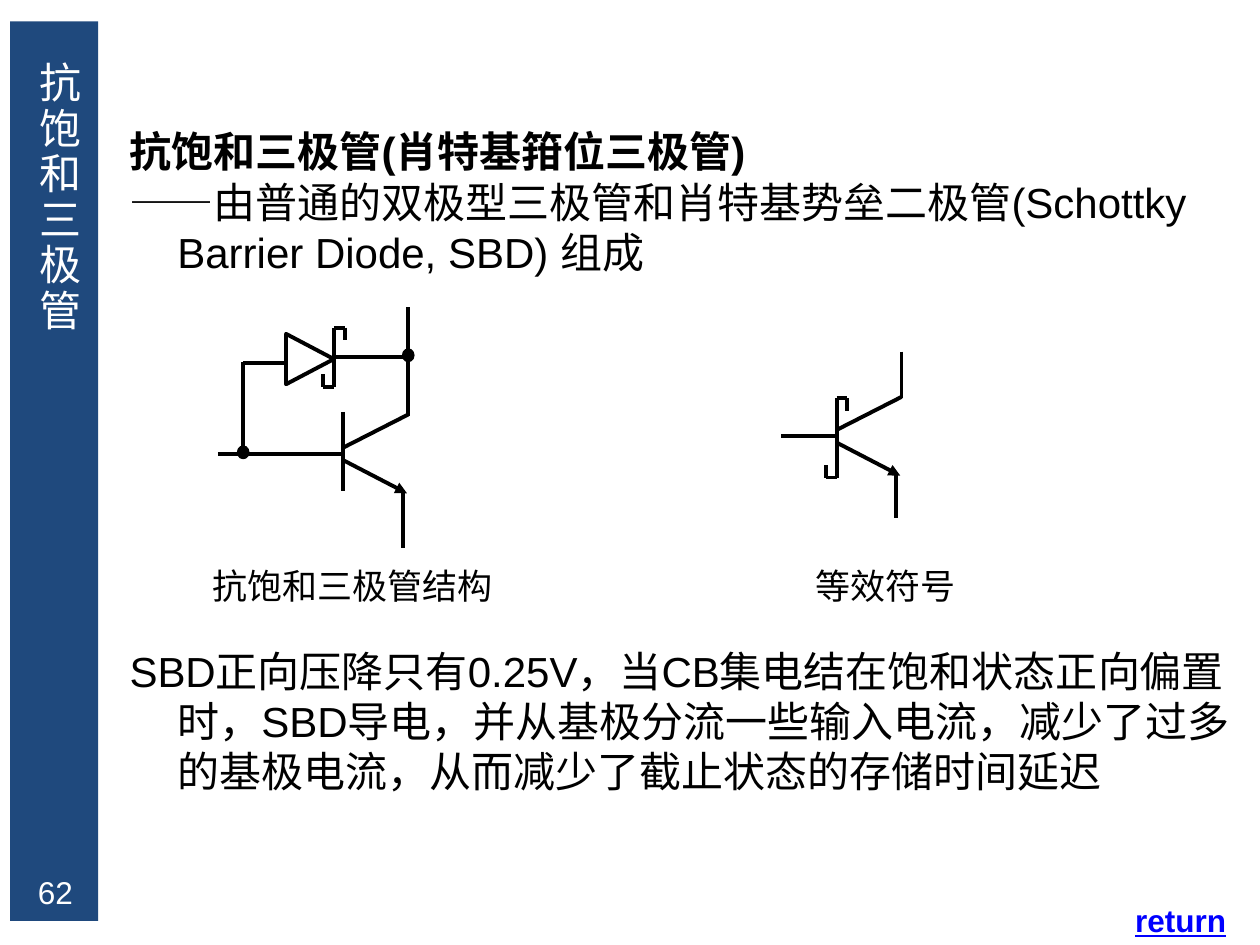
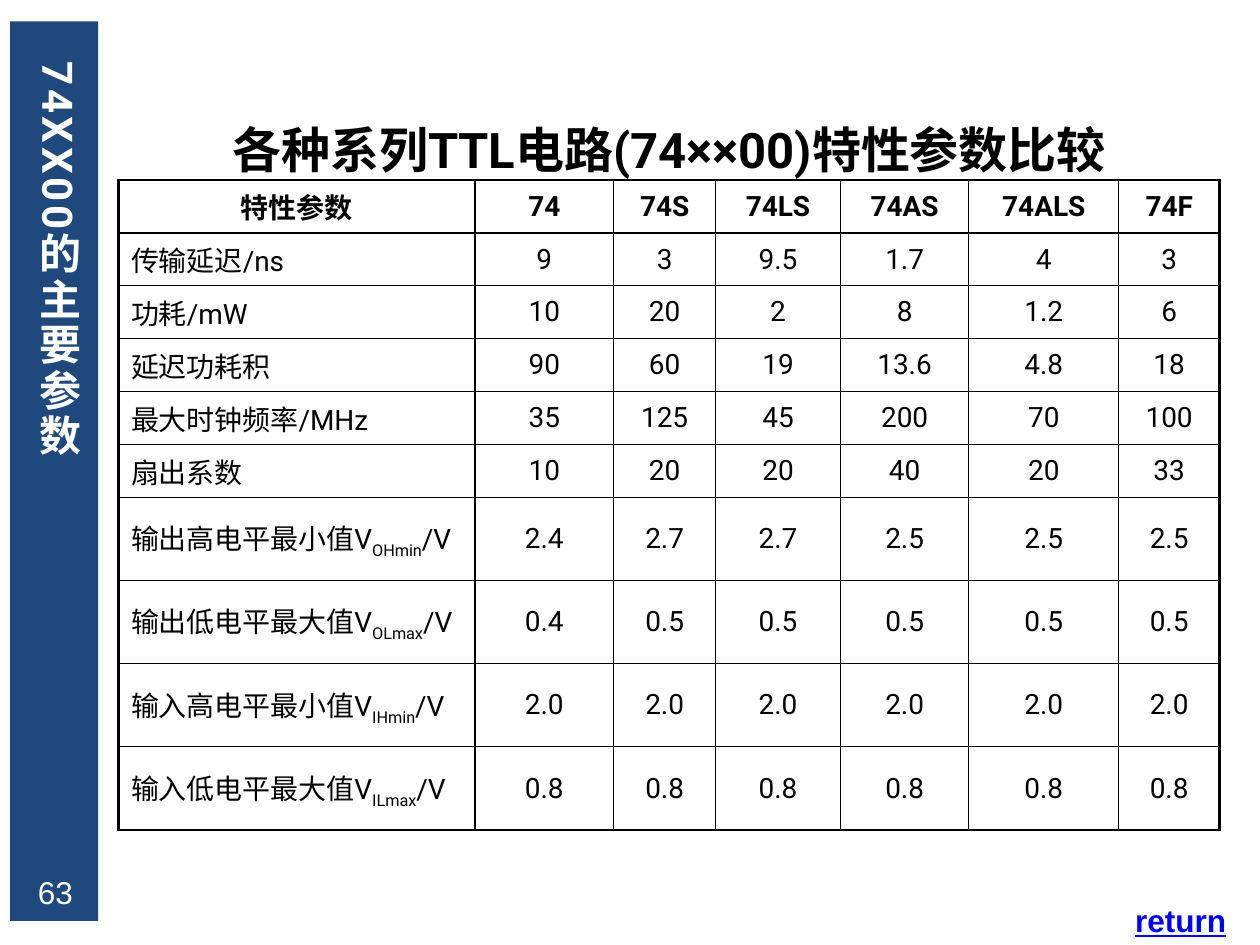
from lxml import etree
from pptx import Presentation
from pptx.dml.color import RGBColor
from pptx.enum.shapes import MSO_CONNECTOR, MSO_SHAPE
from pptx.enum.text import MSO_ANCHOR, MSO_AUTO_SIZE, PP_ALIGN
from pptx.oxml.ns import qn
from pptx.util import Inches, Pt

NAVY = RGBColor(0x1F, 0x49, 0x7D)
WHITE = RGBColor(0xFF, 0xFF, 0xFF)
BLACK = RGBColor(0, 0, 0)
LINK_BLUE = RGBColor(0, 0, 0xFF)
BODY_FONT, TABLE_FONT = "Arial", "Roboto"
LEFT, CENTER = PP_ALIGN.LEFT, PP_ALIGN.CENTER
TOP, MIDDLE = MSO_ANCHOR.TOP, MSO_ANCHOR.MIDDLE
NO_AUTOFIT = MSO_AUTO_SIZE.NONE
STRAIGHT = MSO_CONNECTOR.STRAIGHT
RECTANGLE, OVAL = MSO_SHAPE.RECTANGLE, MSO_SHAPE.OVAL
TRIANGLE = MSO_SHAPE.ISOSCELES_TRIANGLE

# The slide is a grid of 100 columns by 75 rows of square cells
COLUMNS, ROWS = 100, 75
CELL = Inches(0.1)
TITLE_LAYOUT = 5

THIN, THICK, WIRE = 0.75, 1.5, 2.25
HANGING = 3.8

COLUMN_WIDTHS = [28.3, 11, 8.1, 9.9, 10.2, 11.9, 8]
ROW_HEIGHTS = [5.9] + [4.2] * 6 + [6.6] * 4
TABLE_TITLE = "各种系列TTL电路(74××00)特性参数比较"
# Text between underscores is set as a subscript
PARAMETERS = [
    ["特性参数", "74", "74S", "74LS", "74AS", "74ALS", "74F"],
    ["传输延迟/ns", "9", "3", "9.5", "1.7", "4", "3"],
    ["功耗/mW", "10", "20", "2", "8", "1.2", "6"],
    ["延迟功耗积", "90", "60", "19", "13.6", "4.8", "18"],
    ["最大时钟频率/MHz", "35", "125", "45", "200", "70", "100"],
    ["扇出系数", "10", "20", "20", "40", "20", "33"],
    ["输出高电平最小值V_OHmin_/V", "2.4", "2.7", "2.7", "2.5", "2.5", "2.5"],
    ["输出低电平最大值V_OLmax_/V", "0.4"] + ["0.5"] * 5,
    ["输入高电平最小值V_IHmin_/V"] + ["2.0"] * 6,
    ["输入低电平最大值V_ILmax_/V"] + ["0.8"] * 6,
]


def grid(*cells):
    return [round(cell * CELL) for cell in cells]


def write(frame, text, size=24, font=BODY_FONT, color=BLACK, bold=False,
          underline=False, align=LEFT, hanging=0, tracking=0):
    """Append one paragraph to a text frame."""
    paragraph = frame.add_paragraph() if frame.text else frame.paragraphs[0]
    paragraph.alignment = align
    if hanging:
        indent, = grid(hanging)
        properties = paragraph._p.get_or_add_pPr()
        properties.set("marL", str(indent))
        properties.set("indent", str(-indent))
    for index, part in enumerate(text.split("_")):
        run = paragraph.add_run()
        run.text = part
        run.font.name, run.font.size = font, Pt(size)
        run.font.bold, run.font.underline = bold, underline
        run.font.color.rgb = color
        if tracking:
            run._r.get_or_add_rPr().set("spc", str(tracking * 100))
        if index % 2:
            run._r.get_or_add_rPr().set("baseline", "-25000")


def add_text(slide, area, text, **style):
    frame = slide.shapes.add_textbox(*grid(*area)).text_frame
    frame.word_wrap = True
    write(frame, text, **style)
    return frame


def add_figure(shapes, kind, area, fill=None, line=None, weight=THIN):
    figure = shapes.add_shape(kind, *grid(*area))
    figure.shadow.inherit = False
    if fill is None:
        figure.fill.background()
    else:
        figure.fill.solid()
        figure.fill.fore_color.rgb = fill
    if line is None:
        figure.line.fill.background()
    else:
        figure.line.color.rgb = line
        figure.line.width = Pt(weight)
    return figure


# Circuit parts
def add_wire(circuit, start, end, arrow=False):
    wire = circuit.shapes.add_connector(STRAIGHT, *grid(*start, *end))
    wire.line.color.rgb = BLACK
    wire.line.width = Pt(WIRE)
    if arrow:
        etree.SubElement(wire.line._get_or_add_ln(), qn("a:tailEnd"),
                         type="triangle")
    etree.SubElement(wire.element.spPr, qn("a:effectLst"))


def add_junction(circuit, x, y):
    add_figure(circuit.shapes, OVAL, (x - 0.45, y - 0.5, 0.9, 1),
               fill=BLACK, line=BLACK)


def add_schottky_bar(circuit, x, top, bottom):
    """Draw a bar with a hook to the right on top and to the left below."""
    add_wire(circuit, (x, top), (x, bottom))
    for side, y in ((1, top), (-1, bottom)):
        tip = x + 0.85 * side
        add_wire(circuit, (x, y), (tip, y))
        add_wire(circuit, (tip, y), (tip, y + side))


def add_transistor(circuit, x, y, base_start, collector_top, emitter_end):
    """Draw the leads of a transistor whose base meets its bar at x, y."""
    add_wire(circuit, (base_start, y), (x, y))
    add_wire(circuit, (x + 5.2, y - 3.1), (x, y - 0.45))
    add_wire(circuit, (x, y + 0.5), (x + 5.1, y + 3.15), arrow=True)
    add_wire(circuit, (x + 5.2, collector_top), (x + 5.2, y - 3))
    add_wire(circuit, (x + 4.75, y + 3), (x + 4.75, emitter_end))


def add_clamped_structure(slide):
    circuit = slide.shapes.add_group_shape()
    base_x, base_y, collector_x, tap_x = 27.2, 36, 32.4, 19.3
    add_transistor(circuit, base_x, base_y, 17.3, 24.4, 43.5)
    add_wire(circuit, (base_x, 32.7), (base_x, 39))
    # Schottky diode from base to collector
    diode = add_figure(circuit.shapes, TRIANGLE, (22.6, 26.6, 4, 3.8),
                       line=BLACK, weight=WIRE)
    diode.rotation = 90
    add_schottky_bar(circuit, 26.5, 26, 30.7)
    add_wire(circuit, (26.6, 28.3), (collector_x, 28.3))
    add_wire(circuit, (tap_x, 28.8), (22.5, 28.8))
    add_wire(circuit, (tap_x, 28.7), (tap_x, base_y))
    add_junction(circuit, tap_x, 35.9)
    add_junction(circuit, collector_x, 28.2)


def add_equivalent_symbol(slide):
    circuit = slide.shapes.add_group_shape()
    add_transistor(circuit, 66.35, 34.6, 62, 27.9, 41.1)
    add_schottky_bar(circuit, 66.4, 31.6, 37.9)


# Table
def set_borders(cell, **widths):
    """Set the L, R, T and B borders; a width of 0 hides the border."""
    properties = cell._tc.get_or_add_tcPr()
    for side in "LRTB":
        width = widths.get(side, THIN)
        border = etree.SubElement(properties, qn("a:ln" + side),
                                  w=str(Pt(width)))
        if width:
            fill = etree.SubElement(border, qn("a:solidFill"))
            etree.SubElement(fill, qn("a:srgbClr"), val=str(BLACK))
        else:
            etree.SubElement(border, qn("a:noFill"))


def add_parameter_table(slide):
    area = grid(9.4, 8.4, sum(COLUMN_WIDTHS), sum(ROW_HEIGHTS))
    table = slide.shapes.add_table(len(ROW_HEIGHTS), len(COLUMN_WIDTHS),
                                   *area).table
    table.first_row = table.horz_banding = False
    for column, width in zip(table.columns, grid(*COLUMN_WIDTHS)):
        column.width = width
    for row, height in zip(table.rows, grid(*ROW_HEIGHTS)):
        row.height = height

    # Title row without an outer frame
    heading = table.cell(0, 0)
    heading.merge(table.cell(0, len(COLUMN_WIDTHS) - 1))
    write(heading.text_frame, TABLE_TITLE, size=28, font=TABLE_FONT,
          bold=True, align=CENTER)
    for cell in table.rows[0].cells:
        set_borders(cell, L=0, R=0, T=0, B=THICK)
        cell.fill.background()

    # Header and values in a thick frame
    last_row, last_column = len(PARAMETERS), len(COLUMN_WIDTHS) - 1
    for r, values in enumerate(PARAMETERS, start=1):
        for c, value in enumerate(values):
            cell = table.cell(r, c)
            cell.vertical_anchor = MIDDLE
            write(cell.text_frame, value, size=16, font=TABLE_FONT,
                  bold=r == 1, align=LEFT if c == 0 and r > 1 else CENTER)
            set_borders(cell, L=THIN if c else THICK,
                        R=THICK if c == last_column else THIN,
                        T=THICK if r == 1 else THIN,
                        B=THICK if r == last_row else THIN)
            cell.fill.background()


# Shared frame of the slides
def add_side_band(layout, slide):
    """Draw the band and move it to the layout, behind everything."""
    band = add_figure(slide.shapes, RECTANGLE, (0.8, 1.7, 7, 71.4), fill=NAVY)
    layout.shapes.element.insert(2, band.element)


def add_slide(deck, title, number, bold=False):
    slide = deck.slides.add_slide(deck.slide_layouts[TITLE_LAYOUT])
    side_title = slide.shapes.title
    (side_title.left, side_title.top,
     side_title.width, side_title.height) = grid(1.2, 4.4, 6.5, 67.2)
    frame = side_title.text_frame
    frame.auto_size = NO_AUTOFIT
    frame.vertical_anchor = TOP
    frame._txBody.bodyPr.set("vert", "eaVert")
    write(frame, title, font=TABLE_FONT, color=WHITE, bold=bold, tracking=2)

    page = add_figure(slide.shapes, RECTANGLE, (1.2, 69, 6.4, 3.5))
    page.text_frame.vertical_anchor = MIDDLE
    write(page.text_frame, str(number), size=18, color=WHITE, align=CENTER)
    add_text(slide, (87.4, 71, 12.6, 4), "return", size=18, color=LINK_BLUE,
             bold=True, underline=True, align=CENTER)
    return slide


def main():
    deck = Presentation()
    deck.slide_width, deck.slide_height = grid(COLUMNS, ROWS)

    # Anti-saturation transistor
    transistor = add_slide(deck, "抗饱和三极管", 62)
    add_side_band(deck.slide_layouts[TITLE_LAYOUT], transistor)
    definition = add_text(transistor, (9.3, 9.5, 90.7, 13.1),
                          "抗饱和三极管(肖特基箝位三极管)",
                          bold=True, hanging=HANGING)
    write(definition, "——由普通的双极型三极管和肖特基势垒二极管"
          "(Schottky Barrier Diode, SBD) 组成", hanging=HANGING)
    add_text(transistor, (9.3, 50.7, 90.7, 13.1),
             "SBD正向压降只有0.25V，当CB集电结在饱和状态正向偏置时，"
             "SBD导电，并从基极分流一些输入电流，减少了过多的基极电流，"
             "从而减少了截止状态的存储时间延迟", hanging=HANGING)
    add_clamped_structure(transistor)
    add_equivalent_symbol(transistor)
    for left, caption in ((10.9, "抗饱和三极管结构"), (53.2, "等效符号")):
        add_text(transistor, (left, 44.3, 34.2, 4.4), caption, size=20,
                 align=CENTER)

    # Comparison of the 74 series
    comparison = add_slide(deck, "74XX00的主要参数", 63, bold=True)
    add_parameter_table(comparison)

    deck.save("out.pptx")


if __name__ == "__main__":
    main()
